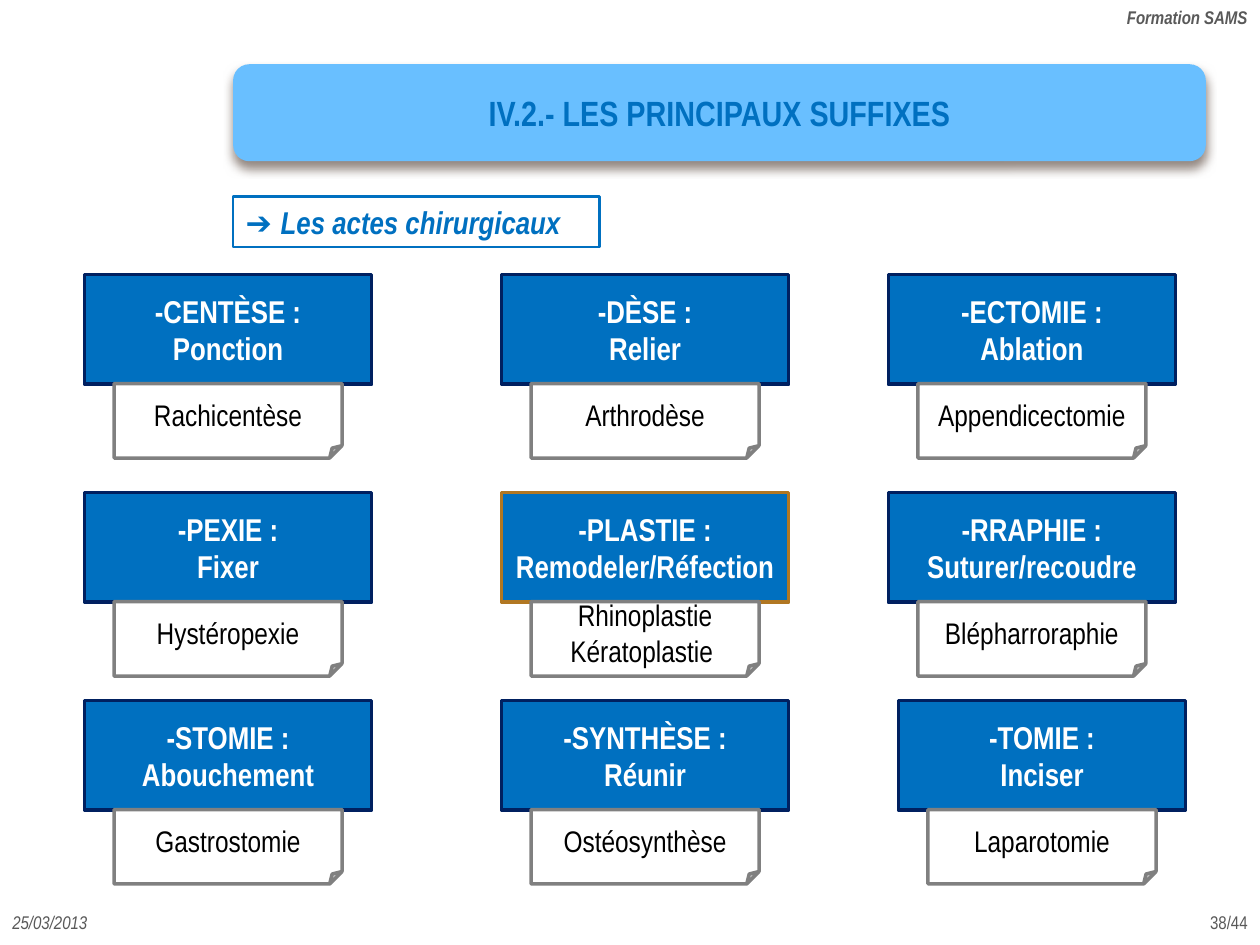
from lxml import etree
from pptx import Presentation
from pptx import util as u
from pptx.dml.color import RGBColor
from pptx.enum import shapes, text
from pptx.oxml import ns

BLUE, NAVY, GOLD, GREY = "0070C0", "002060", "B17722", "595959"
FONT = "Arial Narrow"
KIND, ALIGN = shapes.MSO_SHAPE, text.PP_ALIGN

CARDS = [
    [("-CENTÈSE :\nPonction", "Rachicentèse"),
     ("-DÈSE :\nRelier", "Arthrodèse"),
     ("-ECTOMIE :\nAblation", "Appendicectomie")],
    [("-PEXIE :\nFixer", "Hystéropexie"),
     ("-PLASTIE :\nRemodeler/Réfection", "Rhinoplastie\nKératoplastie "),
     ("-RRAPHIE :\nSuturer/recoudre", "Blépharroraphie")],
    [("-STOMIE :\nAbouchement", "Gastrostomie"),
     ("-SYNTHÈSE :\nRéunir", "Ostéosynthèse"),
     ("-TOMIE :\nInciser", "Laparotomie")],
]
LEFTS = [0.67, 3.98, 7.05]
TOPS = [2.18, 3.91, 5.56]
SHIFT = {(2, 2): 0.08}
EDGES = {(1, 1): GOLD}

NOTES = [
    ("Formation SAMS", (8.54, 0, 1.46, 0.27), ALIGN.RIGHT, True, True),
    ("25/03/2013", (0, 7.18, 1.14, 0.32), ALIGN.LEFT, False, True),
    ("38/44", (9.41, 7.18, 0.59, 0.27), ALIGN.RIGHT, False, False),
]


def rgb(code):
    return RGBColor.from_string(code)


def write(shape, words, size, color, bold=False, italic=False,
          align=ALIGN.CENTER, anchor=text.MSO_ANCHOR.MIDDLE):
    frame = shape.text_frame
    frame.text = words
    frame.word_wrap = True
    frame.vertical_anchor = anchor
    for para in frame.paragraphs:
        para.alignment = align
        for run in para.runs:
            style(run, size, color, bold, italic)


def style(run, size, color, bold, italic, font=FONT):
    run.font.name = font
    run.font.size = u.Pt(size)
    run.font.bold = bold
    run.font.italic = italic
    run.font.color.rgb = rgb(color)


def draw(slide, kind, box, fill, line=None, width=2):
    shape = slide.shapes.add_shape(kind, *map(u.Inches, box))
    shape.shadow.inherit = False
    shape.fill.solid()
    shape.fill.fore_color.rgb = rgb(fill)
    if line:
        shape.line.color.rgb = rgb(line)
        shape.line.width = u.Pt(width)
    else:
        shape.line.fill.background()
    return shape


def shade(shape, color, alpha, blur, dist, angle):
    effects = shape._element.spPr.find(ns.qn("a:effectLst"))
    outer = etree.SubElement(
        effects, ns.qn("a:outerShdw"), blurRad=str(u.Pt(blur)),
        dist=str(u.Pt(dist)), dir=str(angle * 60000), rotWithShape="0")
    tint = etree.SubElement(outer, ns.qn("a:srgbClr"), val=color)
    etree.SubElement(tint, ns.qn("a:alpha"), val=str(alpha * 1000))


def add_cards(slide):
    for row, (top, cards) in enumerate(zip(TOPS, CARDS)):
        for col, (left, (term, sample)) in enumerate(zip(LEFTS, cards)):
            x = left + SHIFT.get((row, col), 0)
            edge = EDGES.get((row, col), NAVY)
            head = draw(slide, KIND.RECTANGLE, (x, top, 2.28, 0.87), BLUE, edge)
            write(head, term, 18, "FFFFFF", bold=True)
            box = (x + 0.235, top + 0.865, 1.81, 0.59)
            note = draw(slide, KIND.FOLDED_CORNER, box, "FFFFFF", "808080")
            write(note, sample, 17, "000000")


def add_heads(slide):
    title = draw(slide, KIND.ROUNDED_RECTANGLE, (1.85, 0.51, 7.72, 0.77), "69BFFF")
    shade(title, "4E3B30", 60, 6, 4, 90)
    write(title, "IV.2.- LES PRINCIPAUX SUFFIXES", 20, BLUE, bold=True)

    topic = draw(slide, KIND.RECTANGLE, (1.85, 1.56, 2.91, 0.4), "FFFFFF", BLUE, 1.5)
    write(topic, "➔ ", 18, BLUE, True, True, ALIGN.LEFT)
    para = topic.text_frame.paragraphs[0]
    para.runs[0].font.name = "Arial"
    run = para.add_run()
    run.text = "Les actes chirurgicaux"
    style(run, 18, BLUE, True, True)


def add_notes(slide):
    for words, box, align, bold, italic in NOTES:
        shape = slide.shapes.add_textbox(*map(u.Inches, box))
        write(shape, words, 10.5, GREY, bold, italic, align, text.MSO_ANCHOR.TOP)


def main():
    deck = Presentation()
    deck.slide_width, deck.slide_height = u.Inches(10), u.Inches(7.5)
    slide = deck.slides.add_slide(deck.slide_layouts[6])
    add_cards(slide)
    add_heads(slide)
    add_notes(slide)
    deck.save("out.pptx")


if __name__ == "__main__":
    main()
